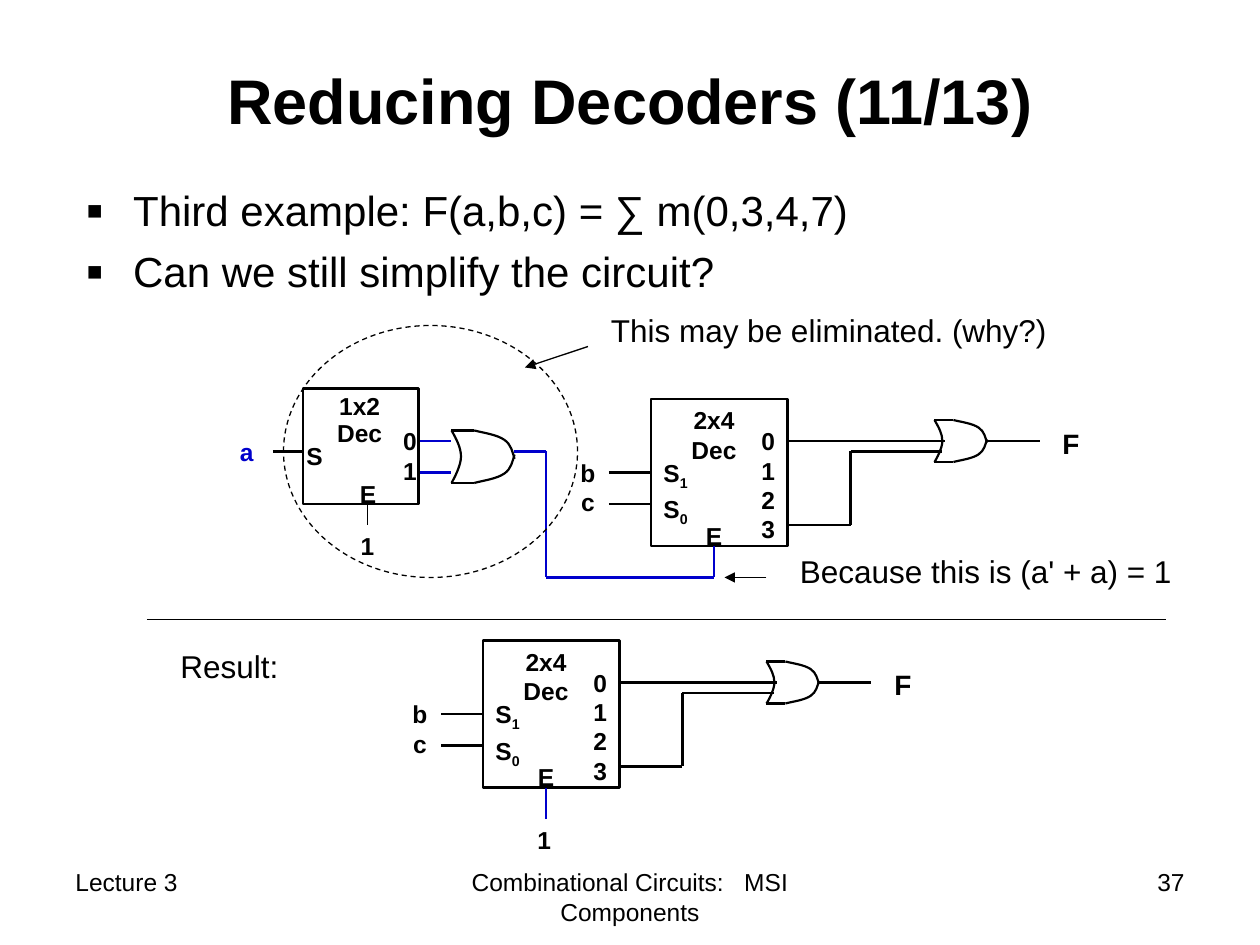
from itertools import pairwise

from lxml import etree
from pptx import Presentation
from pptx.dml.color import RGBColor
from pptx.enum.dml import MSO_LINE
from pptx.enum.shapes import MSO_CONNECTOR, MSO_SHAPE
from pptx.enum.text import MSO_ANCHOR, PP_ALIGN
from pptx.oxml.ns import qn
from pptx.util import Pt

EMU_PER_PX = 9525
FONT = "Arial"
BLACK, BLUE = "000000", "0000CC"
LEFT, CENTER, RIGHT = PP_ALIGN.LEFT, PP_ALIGN.CENTER, PP_ALIGN.RIGHT
MIDDLE = MSO_ANCHOR.MIDDLE
STRAIGHT = MSO_CONNECTOR.STRAIGHT
RECTANGLE, OVAL = MSO_SHAPE.RECTANGLE, MSO_SHAPE.OVAL
DASH = MSO_LINE.DASH
THIN, WIRE, FRAME = 0.75, 1.25, 1.5
GATE_SHOULDER = 0.36
GATE_BACK = [(0, 0), (0.08, 0.17), (0.15, 0.33), (0.15, 0.5),
             (0.15, 0.67), (0.04, 0.92), (0, 1)]
GATE_TOP = [(GATE_SHOULDER, 0), (0.52, 0.05), (0.72, 0.08), (0.84, 0.18),
            (0.95, 0.27), (0.97, 0.42), (1, 0.54)]
GATE_BOTTOM = [(x, 1 - y) for x, y in GATE_TOP]


def px(length):
    """Turn pixels into EMU."""
    return round(length * EMU_PER_PX)


def color(hex_string):
    """Turn a hex string into a colour."""
    return RGBColor.from_string(hex_string)


def add_bullet(paragraph):
    """Give a paragraph a hanging square bullet."""
    properties = paragraph._p.get_or_add_pPr()
    properties.set("marL", str(px(36)))
    properties.set("indent", str(-px(36)))
    bullet_color = etree.SubElement(properties, qn("a:buClr"))
    etree.SubElement(bullet_color, qn("a:srgbClr")).set("val", BLACK)
    etree.SubElement(properties, qn("a:buSzPct")).set("val", "120000")
    etree.SubElement(properties, qn("a:buFont")).set("typeface", FONT)
    etree.SubElement(properties, qn("a:buChar")).set("char", "▪")


def add_text(slide, box, lines, size=14, bold=False, align=LEFT, ink=BLACK,
             anchor=None, gap=0, spacing=None, bulleted=False):
    """Write lines in a box; what follows an underscore is a subscript."""
    frame = slide.shapes.add_textbox(*map(px, box)).text_frame
    frame.word_wrap = True
    frame.vertical_anchor = anchor
    for index, line in enumerate(lines):
        paragraph = frame.add_paragraph() if index else frame.paragraphs[0]
        if bulleted:
            add_bullet(paragraph)
        base, _, subscript = line.partition("_")
        paragraph.add_run().text = base
        if subscript:
            run = paragraph.add_run()
            run.text = subscript
            run._r.get_or_add_rPr().set("baseline", "-25000")
        paragraph.alignment = align
        paragraph.line_spacing = spacing
        if index and gap:
            paragraph.space_before = Pt(gap)
        font = paragraph.font
        font.name, font.size, font.bold = FONT, Pt(size), bold
        font.color.rgb = color(ink)


def add_wire(slide, points, ink=BLACK, width=WIRE, arrow=False):
    """Join successive points with straight lines."""
    for start, end in pairwise(points):
        wire = slide.shapes.add_connector(STRAIGHT, *map(px, start + end))
        wire.line.color.rgb = color(ink)
        wire.line.width = Pt(width)
        if arrow:
            line = wire.line._get_or_add_ln()
            etree.SubElement(line, qn("a:tailEnd")).set("type", "triangle")
        etree.SubElement(wire._element.spPr, qn("a:effectLst"))


def outline(shape, width):
    """Leave a shape empty with a black outline."""
    shape.shadow.inherit = False
    shape.fill.background()
    shape.line.color.rgb = color(BLACK)
    shape.line.width = Pt(width)


def add_outlined(slide, preset, box, width):
    """Add an empty preset shape and return it."""
    shape = slide.shapes.add_shape(preset, *map(px, box))
    outline(shape, width)
    return shape


def add_curve(slide, points):
    """Draw an open cubic curve from a start and triples of points."""
    start, *controls = [tuple(map(px, point)) for point in points]
    builder = slide.shapes.build_freeform(*start)
    builder.add_line_segments(controls, close=False)
    curve = builder.convert_to_shape()
    segments = list(curve._element.iter(qn("a:lnTo")))
    for first in range(0, len(segments), 3):
        bezier = etree.Element(qn("a:cubicBezTo"))
        segments[first].addprevious(bezier)
        for segment in segments[first:first + 3]:
            bezier.append(segment[0])
            segment.getparent().remove(segment)
    outline(curve, WIRE)


def add_or_gate(slide, left, top, width, height):
    """Draw an OR gate in a box."""
    for curve in (GATE_BACK, GATE_TOP, GATE_BOTTOM):
        add_curve(slide, [(left + x * width, top + y * height) for x, y in curve])
    for y in (top, top + height):
        add_wire(slide, [(left, y), (left + GATE_SHOULDER * width, y)])


def placer(slide, left, top):
    """Return text and wire writers relative to a corner."""
    def label(x, y, width, height, *lines, **style):
        style = {"bold": True, "align": CENTER, **style}
        add_text(slide, (left + x, top + y, width, height), lines, **style)

    def wire(*points, **style):
        add_wire(slide, [(left + x, top + y) for x, y in points], **style)

    return label, wire


def add_large_decoder(slide, left, top):
    """Draw the 2x4 decoder with its inputs, gate and output F."""
    label, wire = placer(slide, left, top)
    add_or_gate(slide, left + 216, top + 16, 40, 32)
    add_outlined(slide, RECTANGLE, (left, top, 104, 112), FRAME)
    label(8, 0, 80, 55, "2x4", "Dec")
    label(0, 40, 45, 63, "S_1", "S_0", align=LEFT, gap=1.8)
    label(64, 16, 40, 100, *"0123", align=RIGHT)
    label(32, 88, 32, 33, "E")
    label(-64, 40, 32, 55, "b", "c")
    for y in (56, 80):
        wire((-32, y), (0, y))
    for x in (104, 168):
        wire((x, 32), (224, 32))
    wire((104, 96), (152, 96), (152, 40), (222, 40))
    wire((256, 32), (296, 32))
    label(304, 16, 32, 36, "F", size=16, align=LEFT)


def add_small_decoder(slide, left, top):
    """Draw the 1x2 decoder with its gate and the wire to the next enable."""
    label, wire = placer(slide, left, top)
    add_outlined(slide, RECTANGLE, (left, top, 88, 88), FRAME)
    label(3, 0, 80, 50, "1x2", "Dec", spacing=0.9)
    label(-7, 35, 45, 33, "S", align=LEFT)
    label(56, 24, 40, 55, "0", "1", align=RIGHT)
    label(32, 64, 35, 33, "E")
    label(-63, 32, 40, 33, "a", ink=BLUE)
    label(25, 104, 48, 33, "1")
    wire((-23, 48), (1, 48))
    wire((49, 88), (49, 104), width=THIN)
    for y in (40, 64):
        wire((89, y), (113, y), ink=BLUE)
    add_or_gate(slide, left + 113, top + 32, 48, 40)
    wire((161, 48), (185, 48), (185, 144), (313, 144), (313, 120), ink=BLUE)


def add_result(slide, left, top):
    """Draw the reduced circuit with its enable tied to 1."""
    label, wire = placer(slide, left, top)
    label(-240, 0, 104, 38, "Result:", size=18, bold=False, align=LEFT)
    add_large_decoder(slide, left, top)
    wire((48, 136), (48, 112), ink=BLUE)
    label(32, 136, 24, 33, "1", align=LEFT)


def add_remarks(slide):
    """Mark the part that can go and say why."""
    removable = add_outlined(slide, OVAL, (216, 248, 224, 192), THIN)
    removable.line.dash_style = DASH
    add_wire(slide, [(448, 264), (400, 280)], width=THIN, arrow=True)
    add_text(slide, (456, 232, 392, 38), ["This may be eliminated. (why?)"], size=18)
    add_wire(slide, [(584, 440), (552, 440)], width=THIN, arrow=True)
    add_text(slide, (600, 416, 312, 38), ["Because this is (a' + a) = 1"], size=18)


def add_heading(slide):
    """Write the title and the two points."""
    add_text(slide, (72, 16, 816, 120), ["Reducing Decoders (11/13)"],
             size=36, bold=True, align=CENTER, anchor=MIDDLE)
    add_text(slide, (56, 136, 816, 104),
             ["Third example: F(a,b,c) = ∑ m(0,3,4,7)",
              "Can we still simplify the circuit?"],
             size=24, gap=6, bulleted=True)


def add_footer(slide):
    """Write the lecture, topic and page number."""
    for left, width, words, align in (
            (48, 224, "Lecture 3", LEFT),
            (328, 304, "Combinational Circuits:   MSI Components", CENTER),
            (688, 224, "37", RIGHT)):
        add_text(slide, (left, 656, width, 50), [words], align=align)


def main():
    """Build the slide and save it."""
    deck = Presentation()
    deck.slide_width, deck.slide_height = px(960), px(720)
    slide = deck.slides.add_slide(deck.slide_layouts[6])
    add_footer(slide)
    add_heading(slide)
    add_large_decoder(slide, 496, 304)
    add_small_decoder(slide, 231, 296)
    add_remarks(slide)
    add_wire(slide, [(112, 472), (888, 472)], width=THIN)
    add_result(slide, 368, 488)
    deck.save("out.pptx")


if __name__ == "__main__":
    main()
